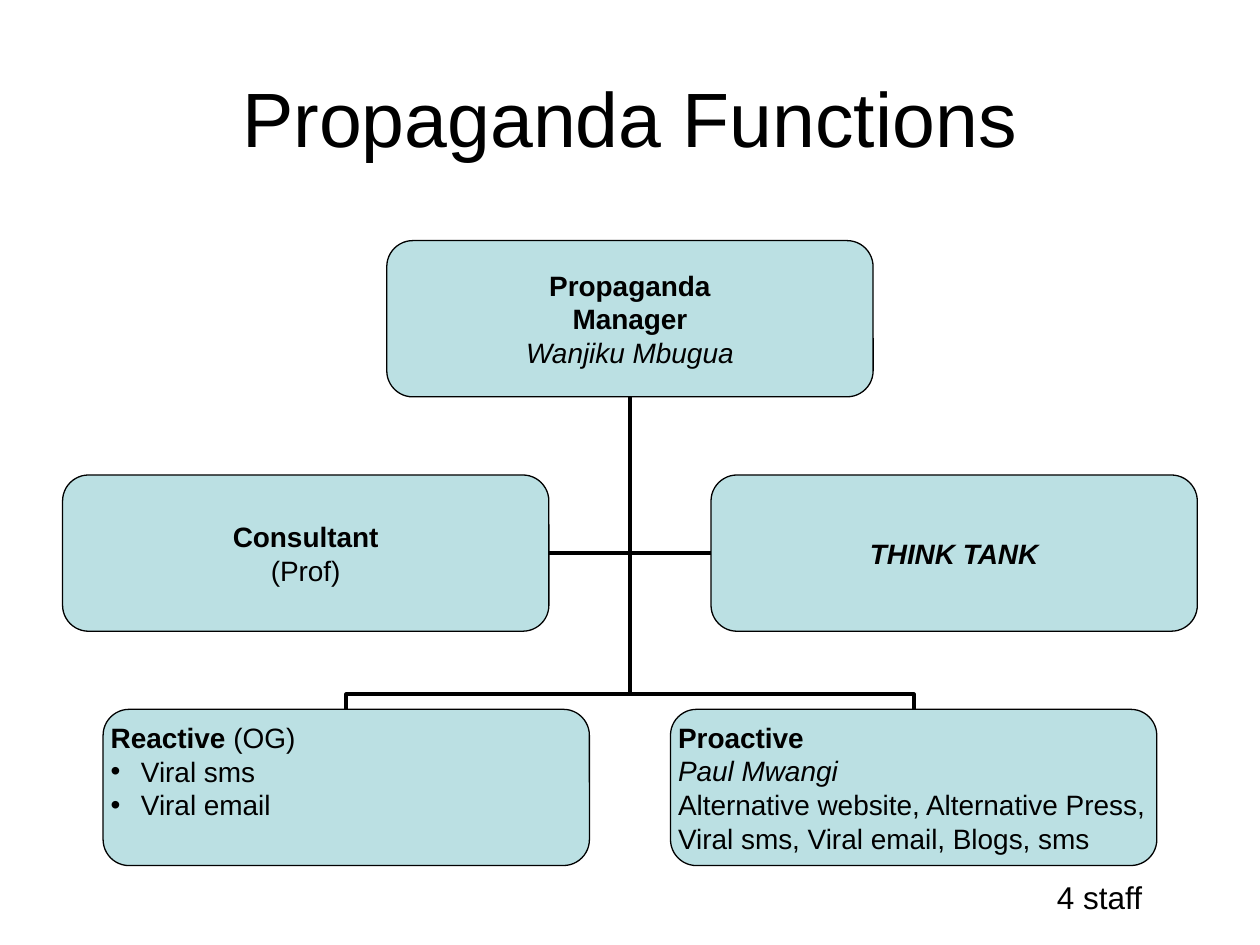
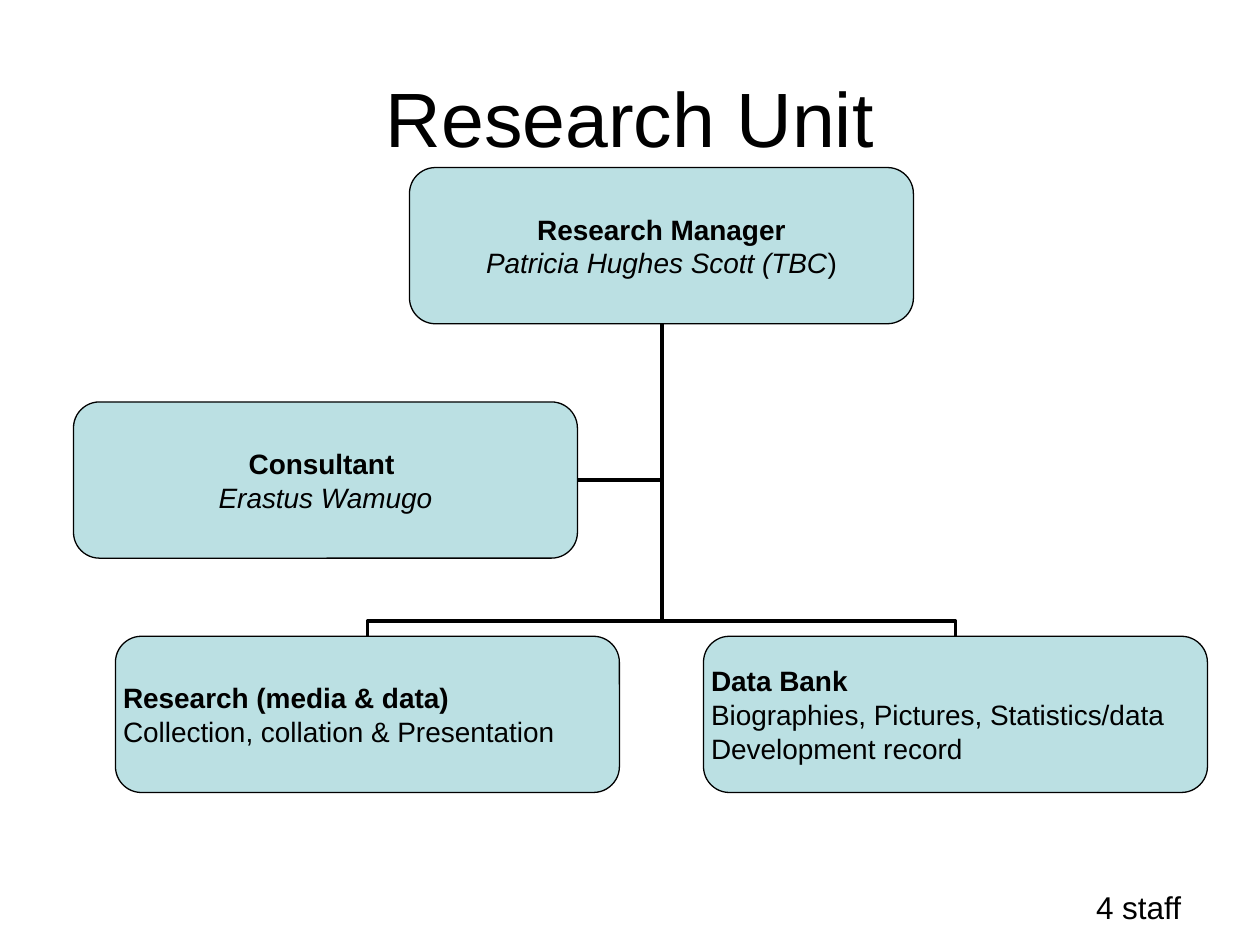
from lxml import etree
from pptx import Presentation
from pptx.dml.color import RGBColor
from pptx.enum.shapes import MSO_CONNECTOR, MSO_SHAPE
from pptx.enum.text import MSO_ANCHOR as Anchor, PP_ALIGN as Align
from pptx.oxml.ns import qn
from pptx.util import Inches, Pt

COLORS = {"ink": "000000", "box": "BBE0E3"}
FONT = "Arial"

# A paragraph is a list of (text, style) runs; style letters: b bold, i italic, * bulleted.
CHARTS = [
    {
        "title": "Propaganda Functions",
        "center": 5, "top": 1.91, "box_width": 3.86,
        "manager": [[("Propaganda", "b")], [("Manager", "b")], [("Wanjiku Mbugua", "i")]],
        "advisers": [
            [[("Consultant", "b")], [("(Prof)", "")]],
            [[("THINK TANK", "bi")]],
        ],
        "reports": [
            {"text": [[("Reactive ", "b"), ("(OG)", "")],
                      [("Viral sms", "*")],
                      [("Viral email", "*")]],
             "bottom_inset": 0.26},
            {"text": [[("Proactive", "b")],
                      [("Paul Mwangi", "i")],
                      [("Alternative website, Alternative Press,", "")],
                      [("Viral sms, Viral email, Blogs, sms", "")]]},
        ],
        "staff": ("4 staff", 8.29, 6.92),
    },
    {
        "title": "Research Unit",
        "center": 5.25, "top": 1.33, "box_width": 4,
        "manager": [[("Research Manager", "b")],
                    [("Patricia Hughes Scott (TBC", "i"), (")", "")]],
        "advisers": [[[("Consultant ", "b")], [("Erastus Wamugo", "i")]]],
        "reports": [
            {"text": [[("Research (media & data)", "b")],
                      [("Collection, collation & Presentation", "")]]},
            {"text": [[("Data Bank", "b")],
                      [("Biographies, Pictures, Statistics/data", "")],
                      [("Development record", "")]]},
        ],
        "staff": ("4 staff", 8.6, 7),
    },
]

BOX_HEIGHT = 1.24
ROW_PITCH = 1.5 * BOX_HEIGHT
BUS_RISE = 0.12
BULLET_INDENT = 0.24
TOP, LEFT, BOTTOM, RIGHT = range(4)


def color(name):
    return RGBColor.from_string(COLORS[name])


def set_font(font, size):
    font.name, font.size = FONT, Pt(size)
    font.color.rgb = color("ink")


def add_bullet(paragraph):
    props = paragraph._p.get_or_add_pPr()
    props.set("marL", str(Inches(BULLET_INDENT)))
    props.set("indent", str(-Inches(BULLET_INDENT)))
    etree.SubElement(props, qn("a:buFont")).set("typeface", FONT)
    etree.SubElement(props, qn("a:buChar")).set("char", "•")


def add_box(slide, left, top, width, text, align=Align.CENTER, bottom_inset=0):
    box = slide.shapes.add_shape(MSO_SHAPE.ROUNDED_RECTANGLE, Inches(left), Inches(top),
                                 Inches(width), Inches(BOX_HEIGHT))
    box.shadow.inherit = False
    box.fill.solid()
    box.fill.fore_color.rgb = color("box")
    box.line.color.rgb = color("ink")
    box.line.width = Pt(0.75)

    frame = box.text_frame
    frame.word_wrap = True
    frame.vertical_anchor = Anchor.MIDDLE
    frame.margin_left = frame.margin_right = frame.margin_top = 0
    frame.margin_bottom = Inches(bottom_inset)
    for index, runs in enumerate(text):
        paragraph = frame.add_paragraph() if index else frame.paragraphs[0]
        paragraph.alignment = align
        if "*" in runs[0][1]:
            add_bullet(paragraph)
        set_font(paragraph.font, 16)
        for words, style in runs:
            run = paragraph.add_run()
            run.text = words
            run.font.bold = "b" in style
            run.font.italic = "i" in style
    return box


def add_elbow(slide, box, side, manager, start, end, turn, flips=(), bend=None):
    """Join a box to the manager's bottom; a bend ratio gives two corners, none gives one."""
    elbow = slide.shapes.add_connector(MSO_CONNECTOR.ELBOW,
                                       *(Inches(value) for value in (*start, *end)))
    elbow.begin_connect(box, side)
    elbow.end_connect(manager, BOTTOM)
    elbow.line.color.rgb = color("ink")
    elbow.line.width = Pt(2.25)
    props = elbow._element.spPr
    etree.SubElement(props, qn("a:effectLst"))

    width, height = abs(end[0] - start[0]), abs(end[1] - start[1])
    if turn in (90, 270):
        width, height = height, width
    elbow.left = Inches((start[0] + end[0] - width) / 2)
    elbow.top = Inches((start[1] + end[1] - height) / 2)
    elbow.width, elbow.height = Inches(width), Inches(height)

    frame = props.find(qn("a:xfrm"))
    frame.set("rot", str(turn * 60000))
    for flip in ("flipH", "flipV"):
        frame.set(flip, str(int(flip in flips)))

    geometry = props.find(qn("a:prstGeom"))
    if bend is None:
        geometry.set("prst", "bentConnector2")
    else:
        guide = etree.SubElement(geometry.find(qn("a:avLst")), qn("a:gd"))
        guide.set("name", "adj1")
        guide.set("fmla", f"val {round(bend * 100000)}")


def add_title(slide, text):
    title = slide.shapes.title
    title.left, title.top = Inches(0.5), Inches(0.3)
    title.width, title.height = Inches(9), Inches(1.25)
    title.text_frame.text = text
    title.text_frame.vertical_anchor = Anchor.MIDDLE
    heading = title.text_frame.paragraphs[0]
    heading.alignment = Align.CENTER
    set_font(heading.font, 44)


def add_staff_note(slide, text, left, top):
    note = slide.shapes.add_textbox(Inches(left), Inches(top), Inches(0.88), Inches(0.4))
    note.text_frame.word_wrap = False
    note.text_frame.text = text
    set_font(note.text_frame.paragraphs[0].font, 18)


def add_org_chart(slide, chart):
    center, width = chart["center"], chart["box_width"]
    gap = width / 6
    manager_top = chart["top"]
    adviser_top = manager_top + ROW_PITCH
    report_top = adviser_top + ROW_PITCH
    hub = (center, manager_top + BOX_HEIGHT)

    manager = add_box(slide, center - width / 2, manager_top, width, chart["manager"])

    adviser_y = adviser_top + BOX_HEIGHT / 2
    adviser_places = [
        (center - gap - width, center - gap, RIGHT, 0, ("flipV",)),
        (center + gap, center + gap, LEFT, 180, ()),
    ]
    for text, place in zip(chart["advisers"], adviser_places):
        left, inner_edge, side, turn, flips = place
        adviser = add_box(slide, left, adviser_top, width, text)
        add_elbow(slide, adviser, side, manager, (inner_edge, adviser_y), hub, turn, flips)

    reach = (width + gap) / 2
    bend = BUS_RISE / (report_top - hub[1])
    report_places = [
        (center - reach, 90, ("flipH", "flipV")),
        (center + reach, 270, ("flipV",)),
    ]
    for report, (middle, turn, flips) in zip(chart["reports"], report_places):
        box = add_box(slide, middle - width / 2, report_top, width, report["text"],
                      Align.LEFT, report.get("bottom_inset", 0))
        add_elbow(slide, box, TOP, manager, (middle, report_top), hub, turn, flips, bend)


def main():
    deck = Presentation()
    deck.slide_width, deck.slide_height = Inches(10), Inches(7.5)
    title_only = deck.slide_layouts[5]
    for chart in CHARTS:
        slide = deck.slides.add_slide(title_only)
        add_title(slide, chart["title"])
        add_org_chart(slide, chart)
        add_staff_note(slide, *chart["staff"])
    deck.save("out.pptx")


if __name__ == "__main__":
    main()
